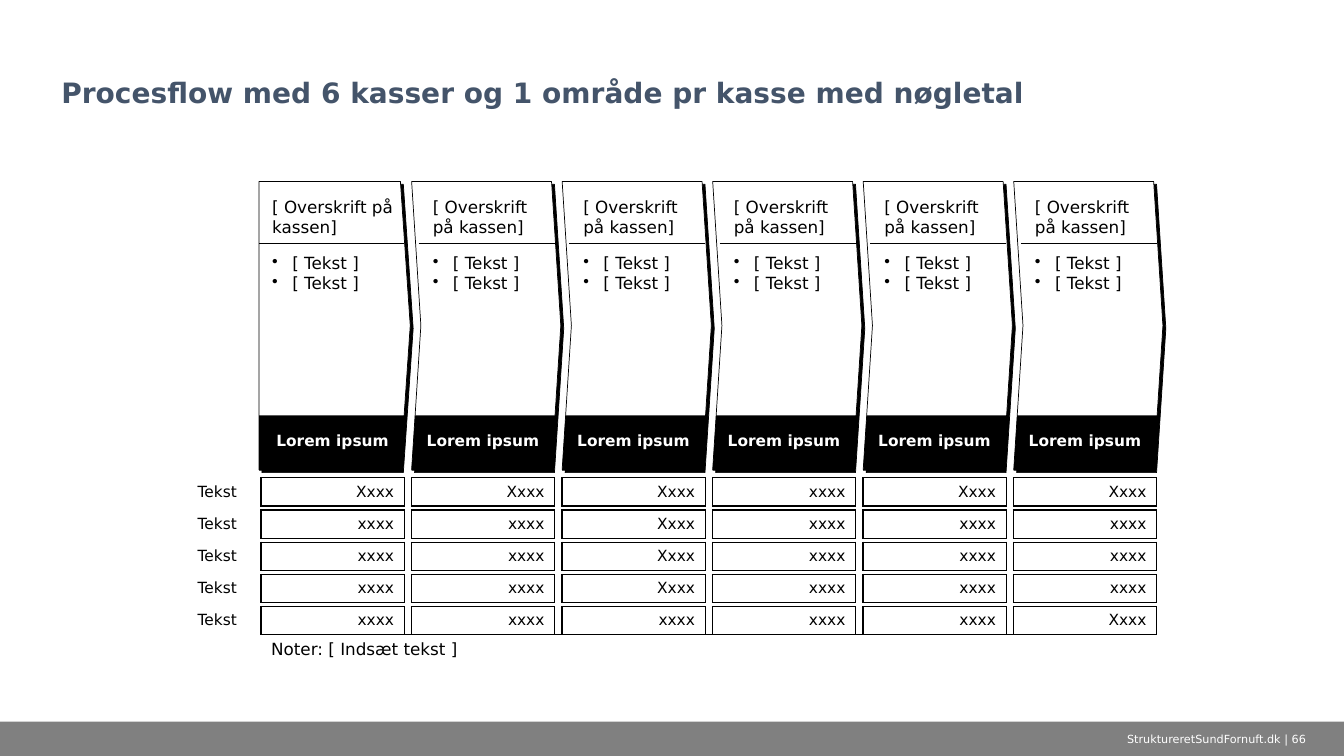
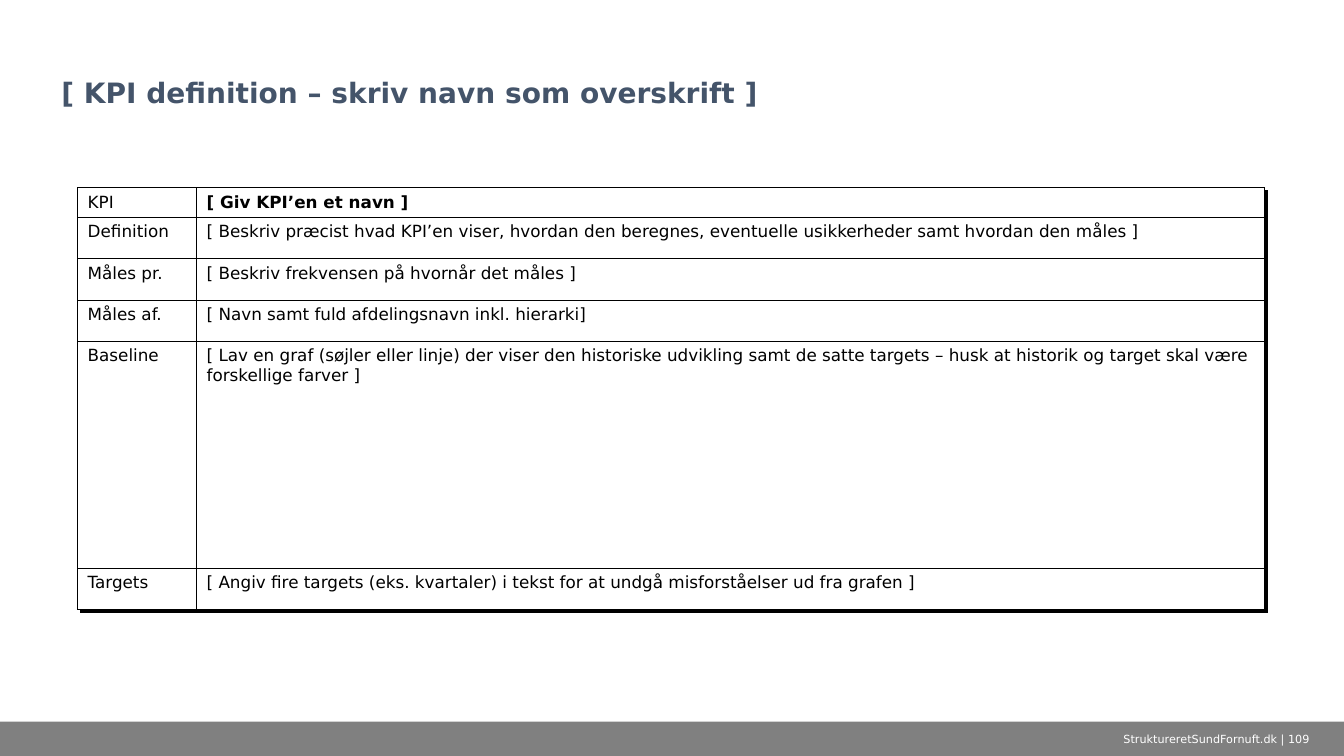
"""Builds a process flow slide and a KPI definition slide."""
import lxml.etree
import pptx
import pptx.dml.color
import pptx.enum.shapes
import pptx.enum.text
import pptx.oxml.ns
import pptx.util

ALIGN = pptx.enum.text.PP_ALIGN
ANCHOR = pptx.enum.text.MSO_ANCHOR
SHAPE = pptx.enum.shapes.MSO_SHAPE


class Theme:
    font = "DejaVu Sans"
    ink, paper, head, band = "000000", "FFFFFF", "44546A", "808080"
    title, body, data, foot, tiny = 20, 12, 11, 8, 1
    thin, rule = 0.5, 1
    plain = "{2D5ABB26-0587-4C30-8999-92F81FD0307C}"
    wide, high = 133.33, 75


def grid(cells):
    return pptx.util.Inches(cells / 10)


def tone(code):
    return pptx.dml.color.RGBColor.from_string(code)


def node(root, tag, **attrs):
    item = lxml.etree.SubElement(root, pptx.oxml.ns.qn(tag))
    for key, value in attrs.items():
        item.set(key, str(value))
    return item


def shade(effects):
    shadow = node(effects, "a:outerShdw", blurRad=0, dist=pptx.util.Pt(3),
                  dir=45 * 60000, algn="tl", rotWithShape=0)
    node(shadow, "a:srgbClr", val=Theme.ink)


def write(box, text, size=Theme.body, color=Theme.ink, bold=False, align=ALIGN.LEFT,
          anchor=ANCHOR.TOP, pad=(1, 0.5), bullet=False, lead=None):
    box.margin_left = box.margin_right = grid(pad[0])
    box.margin_top = box.margin_bottom = grid(pad[1])
    box.vertical_anchor = anchor
    frame = getattr(box, "text_frame", box)
    for index, line in enumerate(text.split("\n")):
        para = frame.add_paragraph() if index else frame.paragraphs[0]
        para.alignment = align
        if lead:
            para.line_spacing = lead
        if bullet:
            props = para._p.get_or_add_pPr()
            props.set("marL", str(grid(2)))
            props.set("indent", str(grid(-2)))
            node(props, "a:buChar", char="•")
        if not line:
            node(para._p, "a:endParaRPr", sz=size * 100)
            continue
        run = para.add_run()
        run.text = line
        run.font.name = Theme.font
        run.font.size = pptx.util.Pt(size)
        run.font.bold = bold
        run.font.color.rgb = tone(color)


class Deck:
    def __init__(self):
        self.file = pptx.Presentation()
        self.file.slide_width = grid(Theme.wide)
        self.file.slide_height = grid(Theme.high)
        self.slide = None

    def page(self, title, number):
        self.slide = self.file.slides.add_slide(self.file.slide_layouts[6])
        self.shape(SHAPE.RECTANGLE, 0, 71.6, Theme.wide, 3.4, fill=Theme.band)
        self.text(title, 5.1, 1.7, 123.1, 9.7, size=Theme.title, color=Theme.head,
                  bold=True, anchor=ANCHOR.BOTTOM, lead=0.9)
        self.text(f"StruktureretSundFornuft.dk | {number}", 108.1, 71.6, 25.2, 3.4,
                  size=Theme.foot, color=Theme.paper, align=ALIGN.CENTER,
                  anchor=ANCHOR.MIDDLE)

    def text(self, text, x, y, w, h, **style):
        box = self.slide.shapes.add_textbox(*map(grid, (x, y, w, h))).text_frame
        box.auto_size = pptx.enum.text.MSO_AUTO_SIZE.NONE
        box.word_wrap = True
        write(box, text, **style)

    def paint(self, shape, fill, line=None):
        shape.shadow.inherit = False
        shape.fill.solid()
        shape.fill.fore_color.rgb = tone(fill)
        if line:
            shape.line.color.rgb = tone(line)
            shape.line.width = pptx.util.Pt(Theme.thin)
        else:
            shape.line.fill.background()

    def shape(self, kind, x, y, w, h, fill, line=None, point=None):
        shape = self.slide.shapes.add_shape(kind, *map(grid, (x, y, w, h)))
        self.paint(shape, fill, line)
        if point:
            shape.adjustments[0] = point
            shade(shape._element.spPr.find(pptx.oxml.ns.qn("a:effectLst")))

    def rule(self, x, y, end):
        kind = pptx.enum.shapes.MSO_CONNECTOR.STRAIGHT
        line = self.slide.shapes.add_connector(kind, *map(grid, (x, y, end, y)))
        line.line.color.rgb = tone(Theme.ink)
        line.line.width = pptx.util.Pt(Theme.thin)
        node(line._element.spPr, "a:effectLst")

    def form(self, points, fill):
        first, *rest = [tuple(map(grid, point)) for point in points]
        path = self.slide.shapes.build_freeform(*first)
        path.add_line_segments(rest, close=True)
        self.paint(path.convert_to_shape(), fill)

    def table(self, x, y, cols, rows, shadow=False):
        table = self.slide.shapes.add_table(
            len(rows), len(cols), *map(grid, (x, y, sum(cols), sum(rows)))).table
        table.first_row = table.horz_banding = False
        props = table._tbl.tblPr
        style = props.find(pptx.oxml.ns.qn("a:tableStyleId"))
        style.text = Theme.plain
        if shadow:
            effects = node(props, "a:effectLst")
            style.addprevious(effects)
            shade(effects)
        for col, width in zip(table.columns, cols):
            col.width = grid(width)
        for row, height in zip(table.rows, rows):
            row.height = grid(height)
        return table

    def cell(self, cell, text, sides="", width=Theme.rule, fill=None, **style):
        props = cell._tc.get_or_add_tcPr()
        for side in "LRTB":
            line = node(props, f"a:ln{side}", w=pptx.util.Pt(width))
            if side in sides:
                node(node(line, "a:solidFill"), "a:srgbClr", val=Theme.ink)
            else:
                node(line, "a:noFill")
        if fill:
            cell.fill.solid()
            cell.fill.fore_color.rgb = tone(fill)
        else:
            cell.fill.background()
        if text:
            write(cell, text, **style)
        else:
            write(cell, "", size=Theme.tiny, pad=(0, 0))

    def step(self, x, first):
        kind = SHAPE.PENTAGON if first else SHAPE.CHEVRON
        point, notch, inset = (0.065, 0, 0.5) if first else (0.062, 0.7, 1.3)
        width = 15 if first else 14.8
        edge = x + width
        self.shape(kind, x, 18, width, 28.6, Theme.paper, Theme.ink, point)
        self.rule(x + notch, 24.1, edge - 0.6)
        left, room = x + inset, edge - 0.4 - x - inset
        self.text("[ Overskrift på kassen]", left, 20.4, room, 3.7,
                  anchor=ANCHOR.BOTTOM, pad=(0.8, 0.6))
        self.text("[ Tekst ]\n[ Tekst ]", left, 24.5, room, 20.9,
                  pad=(0.8, 0.6), bullet=True)
        self.form([(x + notch / 2, 41.2), (edge - 0.4, 41.2),
                   (edge - 0.8, 46.7), (x, 46.7)], Theme.ink)


def flow(deck):
    deck.page("Procesflow med 6 kasser og 1 område pr kasse med nøgletal", 66)
    count, left, pitch, width = 6, 25.9, 89.6 / 6, 14.2
    for index in range(count):
        deck.step(left + index * pitch - (0 if index else 0.2), not index)

    common = "xxxx xxxx Xxxx xxxx xxxx xxxx"
    values = [line.split() for line in (
        "Xxxx Xxxx Xxxx xxxx Xxxx Xxxx", common, common, common,
        "xxxx xxxx xxxx xxxx xxxx Xxxx")]
    cols = [7.3] + [width, pitch - width] * (count - 1) + [width]
    rows = [6.4] + [0.4, 2.8] * len(values) + [2.9]
    table = deck.table(left - cols[0], 40.6, cols, rows)
    last = len(rows) - 1
    table.cell(last, 1).merge(table.cell(last, len(cols) - 1))
    boxes = {(2 * r + 2, 2 * c + 1): text
             for r, line in enumerate(values) for c, text in enumerate(line)}
    near = {"L": (0, -1), "R": (0, 1), "T": (-1, 0), "B": (1, 0)}
    for r in range(len(rows)):
        for c in range(len(cols)):
            sides = "".join(side for side, (down, over) in near.items()
                            if (r, c) in boxes or (r + down, c + over) in boxes)
            text, style = boxes.get((r, c), ""), {"size": Theme.data}
            if text:
                style["align"] = ALIGN.RIGHT
            elif r == 0 and c % 2:
                text = "Lorem ipsum"
                style.update(color=Theme.paper, bold=True, align=ALIGN.CENTER,
                             anchor=ANCHOR.MIDDLE)
            elif c == 0 and (r, 1) in boxes:
                text = "Tekst"
            elif (r, c) == (last, 1):
                text, style = "Noter: [ Indsæt tekst ]", {}
            deck.cell(table.cell(r, c), text, sides, **style)


def define(deck):
    deck.page("[ KPI definition – skriv navn som overskrift ]", 109)
    facts = [
        ("KPI", "[ Giv KPI’en et navn ]", 2.9),
        ("Definition", "[ Beskriv præcist hvad KPI’en viser, hvordan den beregnes, "
         "eventuelle usikkerheder samt hvordan den måles ]", 4.1),
        ("Måles pr.", "[ Beskriv frekvensen på hvornår det måles ]", 4.1),
        ("Måles af.", "[ Navn samt fuld afdelingsnavn inkl. hierarki]", 4.1),
        ("Baseline", "[ Lav en graf (søjler eller linje) der viser den historiske "
         "udvikling samt de satte targets – husk at historik og target skal være "
         "forskellige farver ]", 22.5),
        ("Targets", "[ Angiv fire targets (eks. kvartaler) i tekst for at undgå "
         "misforståelser ud fra grafen ]", 4.1),
    ]
    table = deck.table(7.7, 18.6, [11.8, 105.9], [fact[2] for fact in facts], shadow=True)
    for r, fact in enumerate(facts):
        for c in range(2):
            deck.cell(table.cell(r, c), fact[c], "LRTB", Theme.thin, Theme.paper,
                      bold=(r, c) == (0, 1))


def main():
    deck = Deck()
    flow(deck)
    define(deck)
    deck.file.save("out.pptx")


if __name__ == "__main__":
    main()
